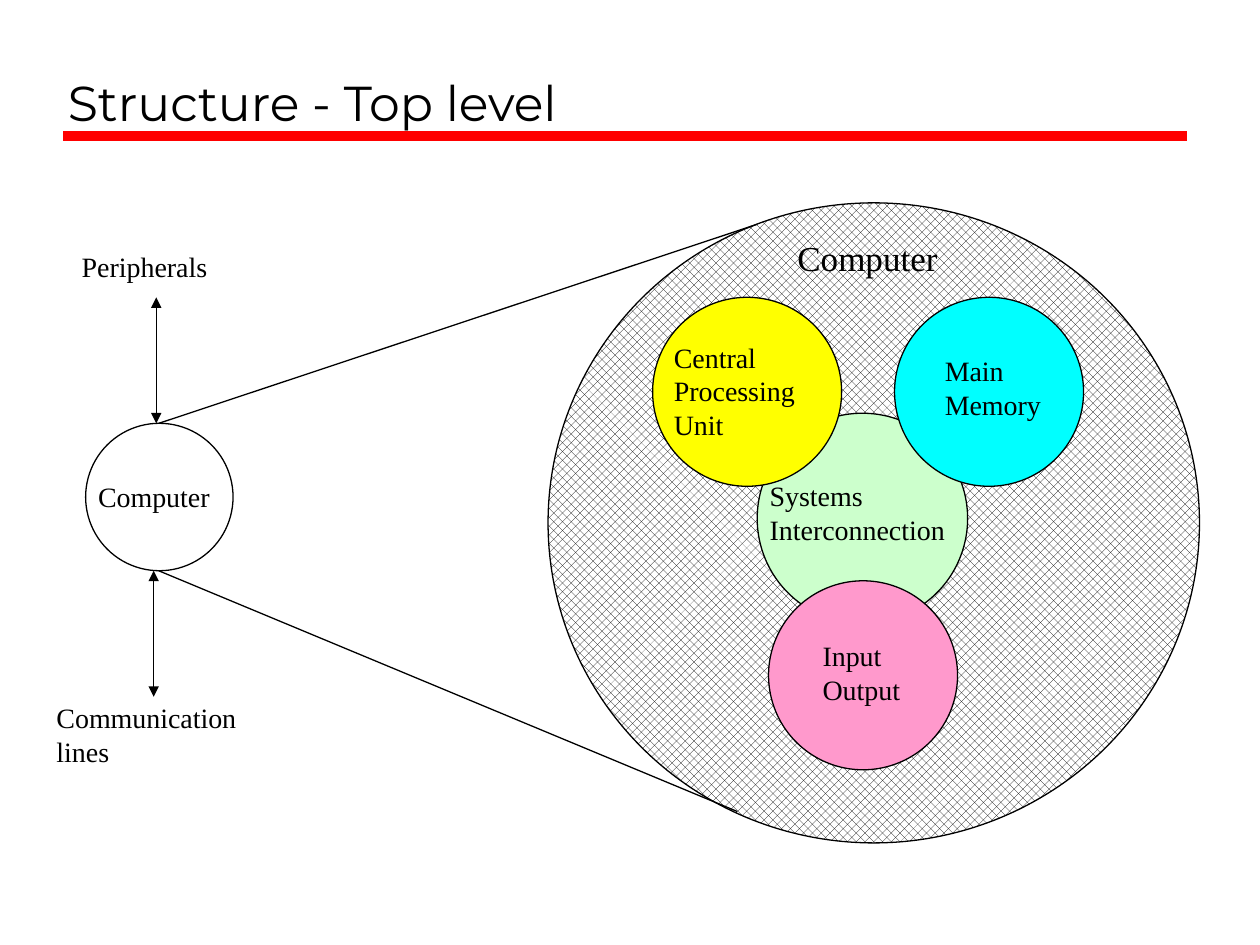
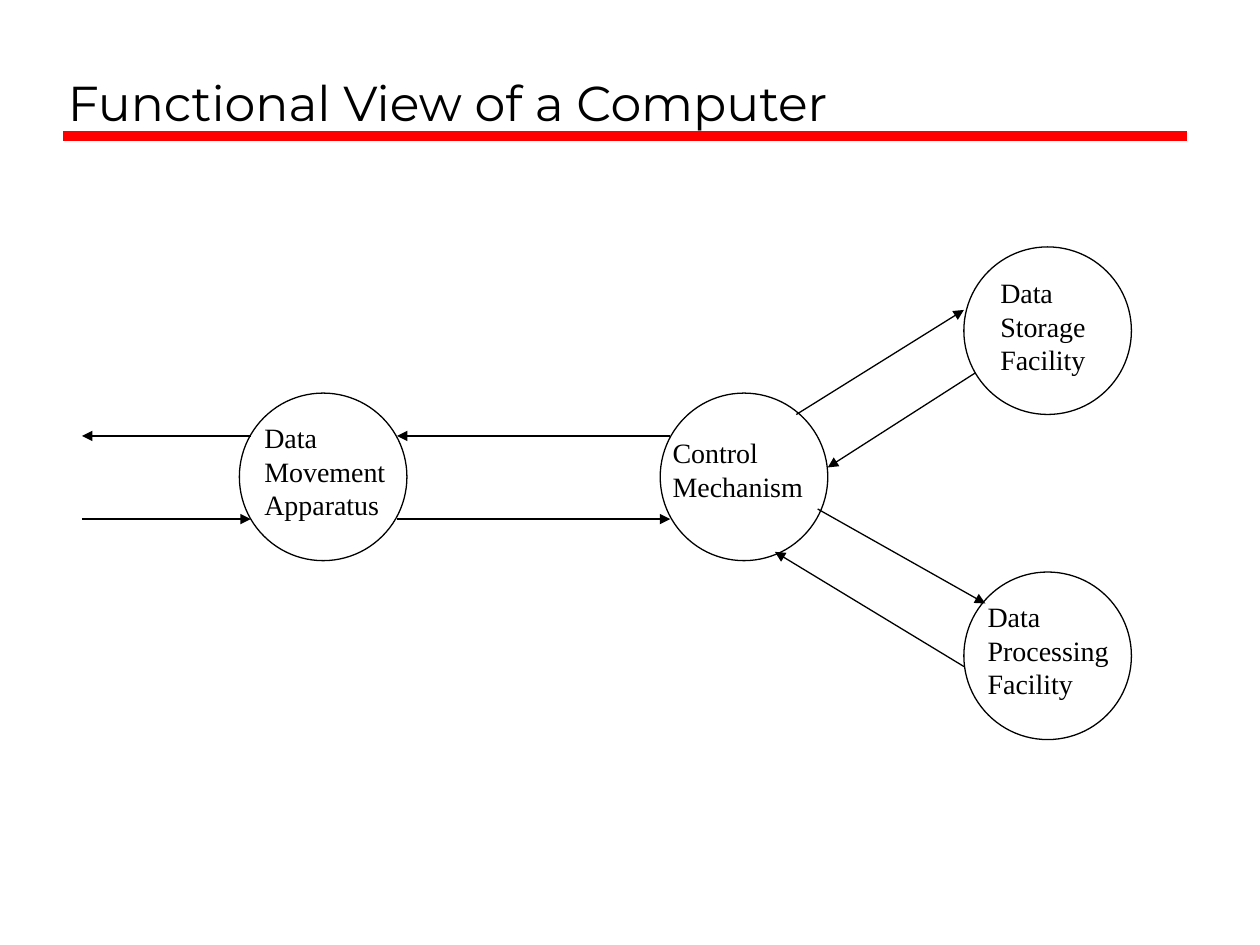
"""Build two slides on the structure and the functions of a computer."""
from dataclasses import dataclass

from lxml.etree import SubElement
from pptx import Presentation
from pptx.dml.color import RGBColor
from pptx.enum.dml import MSO_PATTERN
from pptx.enum.shapes import MSO_CONNECTOR, MSO_SHAPE
from pptx.enum.text import MSO_ANCHOR, MSO_AUTO_SIZE
from pptx.oxml.ns import qn
from pptx.util import Inches, Pt


@dataclass(frozen=True)
class Theme:
    ink: RGBColor = RGBColor(0, 0, 0)
    paper: RGBColor = RGBColor(255, 255, 255)
    rule: RGBColor = RGBColor(255, 0, 0)
    interconnection: RGBColor = RGBColor(0xCC, 0xFF, 0xCC)
    processor: RGBColor = RGBColor(0xFF, 0xFF, 0)
    memory: RGBColor = RGBColor(0, 0xFF, 0xFF)
    input_output: RGBColor = RGBColor(0xFF, 0x99, 0xCC)
    title_font: str = "Montserrat"
    body_font: str = "Times New Roman"
    title_size: int = 28
    heading_size: int = 20
    label_size: int = 16
    rule_width: float = 6
    outline_width: float = 0.75


THEME = Theme()
HATCHED = "hatched"
BOTH_ENDS = ("headEnd", "tailEnd")
FAR_END = ("tailEnd",)
NO_ENDS = ()
TITLE_BOX = (0.44, 0.17, 8.97, 0.92)
TITLE_RULE = (0.5, 1.08, 9.42, 1.08)
TITLE_FORMAT = {"word_wrap": True, "vertical_anchor": MSO_ANCHOR.BOTTOM}
LABEL_FORMAT = {"word_wrap": False, "auto_size": MSO_AUTO_SIZE.SHAPE_TO_FIT_TEXT}
UNIT = 1.5
FACILITY = 1.33

SLIDES = [
    {
        "title": "Structure - Top level",
        "circles": [
            (4.35, 1.61, 5.17, 5.08, HATCHED),
            (6.01, 3.28, 1.67, 1.67, THEME.interconnection),
            (5.18, 2.36, UNIT, UNIT, THEME.processor),
            (0.68, 3.36, 1.17, 1.17, None),
            (7.1, 2.36, UNIT, UNIT, THEME.memory),
            (6.1, 4.61, UNIT, UNIT, THEME.input_output),
        ],
        "lines": [
            (1.26, 3.36, 6.01, 1.78, NO_ENDS),
            (1.26, 4.53, 5.85, 6.44, NO_ENDS),
            (1.24, 2.36, 1.24, 3.36, BOTH_ENDS),
            (1.22, 4.53, 1.22, 5.53, BOTH_ENDS),
        ],
        "labels": [
            ("Computer", 0.68, 3.76, 1.17, THEME.label_size),
            ("Main\nMemory", 7.4, 2.76, 1, THEME.label_size),
            ("Input\nOutput", 6.43, 5.02, 0.87, THEME.label_size),
            ("Systems\nInterconnection", 6.01, 3.75, 1.72, THEME.label_size),
            ("Peripherals", 0.55, 1.93, 1.32, THEME.label_size),
            ("Communication\nlines", 0.35, 5.51, 1.74, THEME.label_size),
            ("Central\nProcessing\nUnit", 5.25, 2.65, 1.36, THEME.label_size),
            ("Computer", 6.23, 1.83, 1.42, THEME.heading_size),
        ],
    },
    {
        "title": "Functional View of a Computer",
        "circles": [
            (x, y, FACILITY, FACILITY, None)
            for x, y in [(1.9, 3.12), (5.24, 3.12), (7.65, 1.96), (7.65, 4.54)]
        ],
        "lines": [
            (1.99, 3.46, 0.65, 3.46, FAR_END),
            (0.65, 4.12, 1.99, 4.12, FAR_END),
            (3.15, 4.12, 5.32, 4.12, FAR_END),
            (5.32, 3.46, 3.15, 3.46, FAR_END),
            (6.32, 3.29, 7.65, 2.46, FAR_END),
            (7.74, 2.96, 6.57, 3.71, FAR_END),
            (6.49, 4.04, 7.82, 4.79, FAR_END),
            (7.65, 5.29, 6.15, 4.38, FAR_END),
        ],
        "labels": [
            ("Data\nMovement\nApparatus", 2, 3.29, 1.16, THEME.label_size),
            ("Control\nMechanism", 5.24, 3.41, 1.34, THEME.label_size),
            ("Data\nStorage\nFacility", 7.84, 2.14, 0.98, THEME.label_size),
            ("Data\nProcessing\nFacility", 7.74, 4.71, 1.3, THEME.label_size),
        ],
    },
]


def apply_format(target, values):
    for name, value in values.items():
        setattr(target, name, value)


def set_outline(line, color, width):
    line.color.rgb = color
    line.width = Pt(width)


def add_text(slide, words, box, font_name, size, frame_format):
    frame = slide.shapes.add_textbox(*map(Inches, box)).text_frame
    frame.text = words
    apply_format(frame, frame_format)
    for paragraph in frame.paragraphs:
        apply_format(paragraph.font, {"name": font_name, "size": Pt(size)})
        paragraph.font.color.rgb = THEME.ink


def add_label(slide, words, left, top, width, size):
    line_count = words.count("\n") + 1
    height = 0.1 + line_count * size * 1.2 / 72
    add_text(slide, words, (left, top, width, height),
             THEME.body_font, size, LABEL_FORMAT)


def add_circle(slide, left, top, width, height, color):
    circle = slide.shapes.add_shape(
        MSO_SHAPE.OVAL, *map(Inches, (left, top, width, height)))
    circle.shadow.inherit = False
    set_outline(circle.line, THEME.ink, THEME.outline_width)
    if color is None:
        circle.fill.background()
    elif color == HATCHED:
        circle.fill.patterned()
        circle.fill.pattern = MSO_PATTERN.PERCENT_50
        circle.fill.fore_color.rgb = THEME.ink
        circle.fill.back_color.rgb = THEME.paper
    else:
        circle.fill.solid()
        circle.fill.fore_color.rgb = color


def add_line(slide, x1, y1, x2, y2, arrow_ends,
             color=THEME.ink, width=THEME.outline_width):
    connector = slide.shapes.add_connector(
        MSO_CONNECTOR.STRAIGHT, *map(Inches, (x1, y1, x2, y2)))
    set_outline(connector.line, color, width)
    properties = connector.line._get_or_add_ln()
    for end in arrow_ends:
        SubElement(properties, qn(f"a:{end}"), type="triangle")
    SubElement(properties.getparent(), qn("a:effectLst"))


def add_title(slide, words):
    add_line(slide, *TITLE_RULE, NO_ENDS, THEME.rule, THEME.rule_width)
    add_text(slide, words, TITLE_BOX, THEME.title_font,
             THEME.title_size, TITLE_FORMAT)


def main():
    deck = Presentation()
    apply_format(deck, {"slide_width": Inches(10), "slide_height": Inches(7.5)})
    for content in SLIDES:
        slide = deck.slides.add_slide(deck.slide_layouts[6])
        add_title(slide, content["title"])
        for part, add_part in [("circles", add_circle), ("lines", add_line),
                               ("labels", add_label)]:
            for values in content[part]:
                add_part(slide, *values)
    deck.save("out.pptx")


if __name__ == "__main__":
    main()
